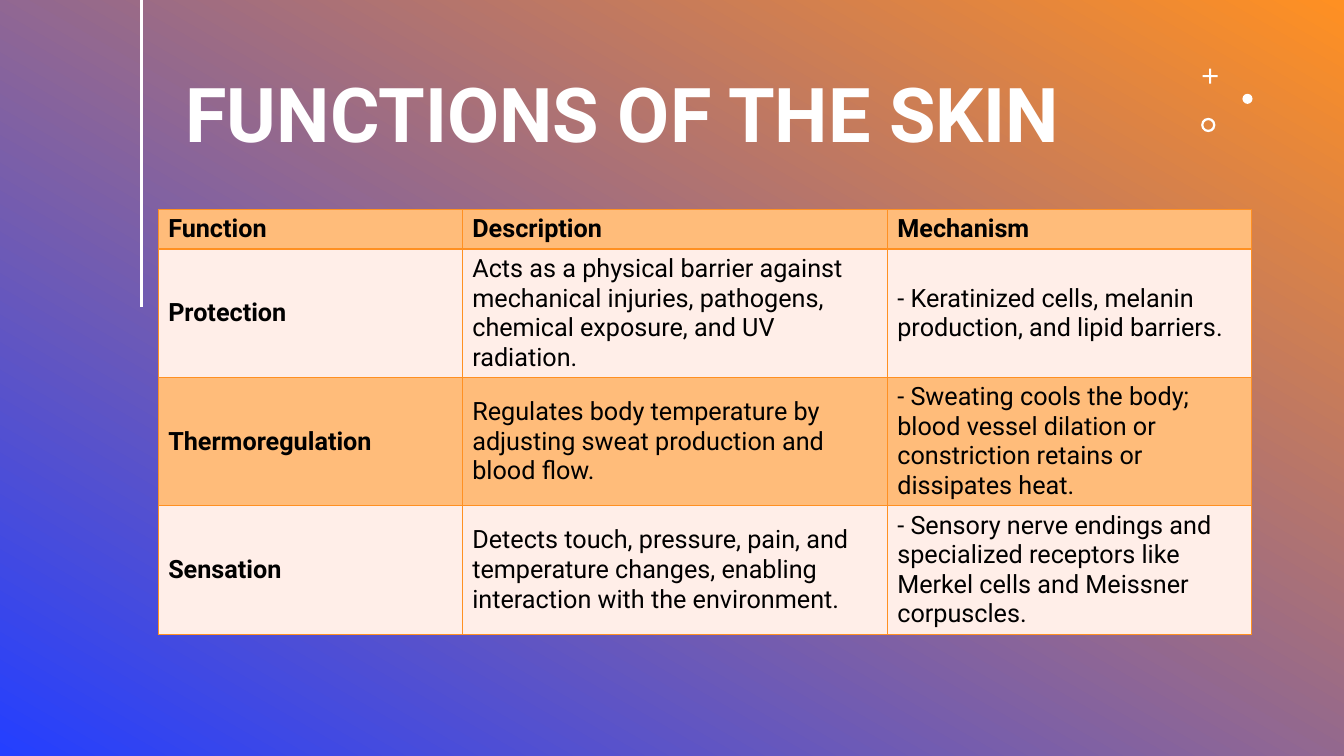
"""Build the slide about the functions of the skin."""
from dataclasses import dataclass

import pptx
import pptx.dml.color
import pptx.enum.shapes
import pptx.enum.text
import pptx.oxml
import pptx.oxml.ns
import pptx.slide
import pptx.table
import pptx.text.text
import pptx.util

Pt = pptx.util.Pt
Preset = pptx.enum.shapes.MSO_SHAPE
Anchor = pptx.enum.text.MSO_ANCHOR

FONT = "Roboto"
COLORS = {
    "blue": "243FFF",
    "orange": "FF9022",
    "peach": "FFBC7A",
    "cream": "FFEEE8",
    "white": "FFFFFF",
    "black": "000000",
}
COLUMN_WIDTHS = (217.2, 303.6, 260.4)
HEADER_HEIGHT = 28.4
ROW_HEIGHT = 91.6


@dataclass(frozen=True)
class Ornament:
    preset: Preset
    left: float
    top: float
    size: float
    adjustment: float | None = None


@dataclass(frozen=True)
class SkinFunction:
    name: str
    description: str
    mechanism: str


ORNAMENTS = (
    Ornament(Preset.OVAL, 887.5, 67, 7.2),
    Ornament(Preset.CROSS, 859, 49, 10.8, 0.43),
    Ornament(Preset.DONUT, 858, 84.2, 10.2, 0.16),
)
ROWS = (
    SkinFunction("Function", "Description", "Mechanism"),
    SkinFunction(
        "Protection",
        "Acts as a physical barrier against mechanical injuries, pathogens, "
        "chemical exposure, and UV radiation.",
        "- Keratinized cells, melanin production, and lipid barriers.",
    ),
    SkinFunction(
        "Thermoregulation",
        "Regulates body temperature by adjusting sweat production and blood flow.",
        "- Sweating cools the body; blood vessel dilation or constriction "
        "retains or dissipates heat.",
    ),
    SkinFunction(
        "Sensation",
        "Detects touch, pressure, pain, and temperature changes, enabling "
        "interaction with the environment.",
        "- Sensory nerve endings and specialized receptors like Merkel cells "
        "and Meissner corpuscles.",
    ),
)


def rgb(name: str) -> pptx.dml.color.RGBColor:
    return pptx.dml.color.RGBColor.from_string(COLORS[name])


def write_text(
    frame: pptx.text.text.TextFrame,
    text: str,
    *,
    size: float,
    color: str,
    bold: bool = False,
    line_height: float | None = None,
) -> None:
    para = frame.paragraphs[0]
    para.alignment = pptx.enum.text.PP_ALIGN.LEFT
    if line_height is not None:
        para.line_spacing = Pt(line_height)
    span = para.add_run()
    span.text = text
    span.font.name = FONT
    span.font.size = Pt(size)
    span.font.bold = bold
    span.font.color.rgb = rgb(color)


def paint_background(page: pptx.slide.Slide) -> None:
    fill = page.background.fill
    fill.gradient()
    fill.gradient_angle = 60
    for stop, position, color in zip(fill.gradient_stops, (0, 1), ("blue", "orange")):
        stop.position = position
        stop.color.rgb = rgb(color)


def draw_ornament(page: pptx.slide.Slide, ornament: Ornament) -> None:
    shape = page.shapes.add_shape(
        ornament.preset,
        Pt(ornament.left),
        Pt(ornament.top),
        Pt(ornament.size),
        Pt(ornament.size),
    )
    if ornament.adjustment is not None:
        shape.adjustments[0] = ornament.adjustment
    shape.shadow.inherit = False
    shape.fill.solid()
    shape.fill.fore_color.rgb = rgb("white")
    shape.line.fill.background()


def draw_side_line(page: pptx.slide.Slide) -> None:
    line = page.shapes.add_connector(
        pptx.enum.shapes.MSO_CONNECTOR.STRAIGHT, Pt(101), Pt(0), Pt(101), Pt(219)
    )
    line.line.color.rgb = rgb("white")
    line.line.width = Pt(2)
    properties = line._element.spPr
    properties.append(properties.makeelement(pptx.oxml.ns.qn("a:effectLst"), {}))


def place_title(page: pptx.slide.Slide, text: str) -> None:
    title = page.shapes.title
    title.left, title.top = Pt(132.5), Pt(36.7)
    title.width, title.height = Pt(811.4), Pt(146.2)
    frame = title.text_frame
    frame.margin_left = frame.margin_right = frame.margin_bottom = Pt(0)
    frame.margin_top = Pt(21.6)
    frame.vertical_anchor = Anchor.TOP
    frame.auto_size = pptx.enum.text.MSO_AUTO_SIZE.NONE
    frame.word_wrap = True
    write_text(frame, text, size=54, color="white", bold=True, line_height=54)


def style_cell(cell: pptx.table._Cell, fill: str) -> None:
    properties = cell._tc.get_or_add_tcPr()
    for side in ("lnL", "lnR", "lnT", "lnB"):
        properties.append(pptx.oxml.parse_xml(
            f'<a:{side} {pptx.oxml.ns.nsdecls("a")} w="{Pt(1)}"><a:solidFill>'
            f'<a:srgbClr val="{COLORS["orange"]}"/></a:solidFill></a:{side}>'
        ))
    cell.fill.solid()
    cell.fill.fore_color.rgb = rgb(fill)
    cell.vertical_anchor = Anchor.MIDDLE


def add_function_table(page: pptx.slide.Slide) -> None:
    heights = [HEADER_HEIGHT] + [ROW_HEIGHT] * (len(ROWS) - 1)
    table = page.shapes.add_table(
        len(ROWS), len(COLUMN_WIDTHS), Pt(113), Pt(149.5),
        Pt(sum(COLUMN_WIDTHS)), Pt(sum(heights)),
    ).table
    table.first_row = table.horz_banding = False
    for column, width in zip(table.columns, COLUMN_WIDTHS):
        column.width = Pt(width)
    for i, (row, height, entry) in enumerate(zip(table.rows, heights, ROWS)):
        row.height = Pt(height)
        texts = (entry.name, entry.description, entry.mechanism)
        for j, (cell, text) in enumerate(zip(row.cells, texts)):
            style_cell(cell, "cream" if i % 2 else "peach")
            write_text(
                cell.text_frame, text, size=18, color="black", bold=i == 0 or j == 0
            )


def main() -> None:
    deck = pptx.Presentation()
    deck.slide_width, deck.slide_height = Pt(960), Pt(540)
    page = deck.slides.add_slide(deck.slide_layouts.get_by_name("Title Only"))
    paint_background(page)
    for ornament in ORNAMENTS:
        draw_ornament(page, ornament)
    draw_side_line(page)
    place_title(page, "FUNCTIONS OF THE SKIN")
    add_function_table(page)
    deck.save("out.pptx")


if __name__ == "__main__":
    main()
